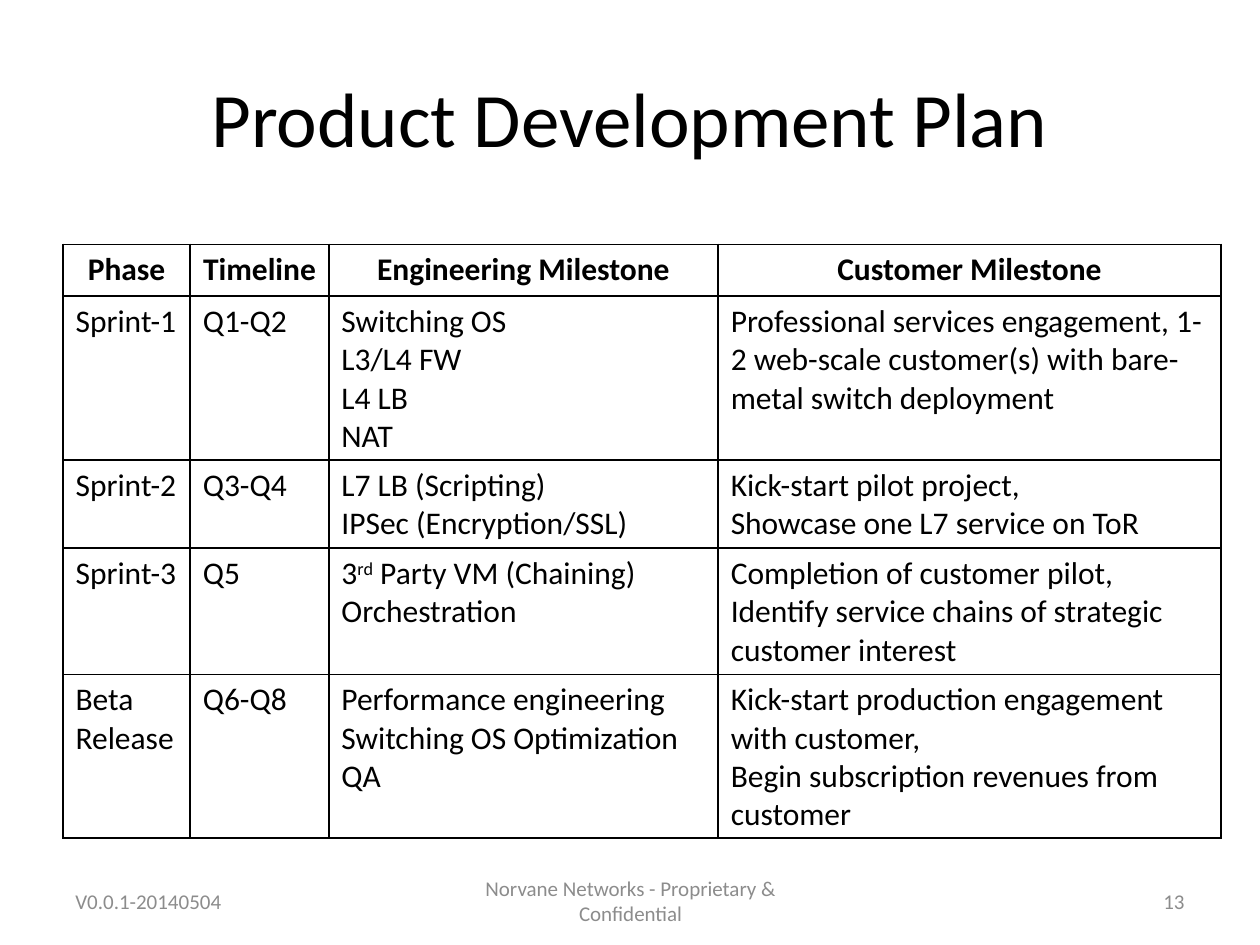
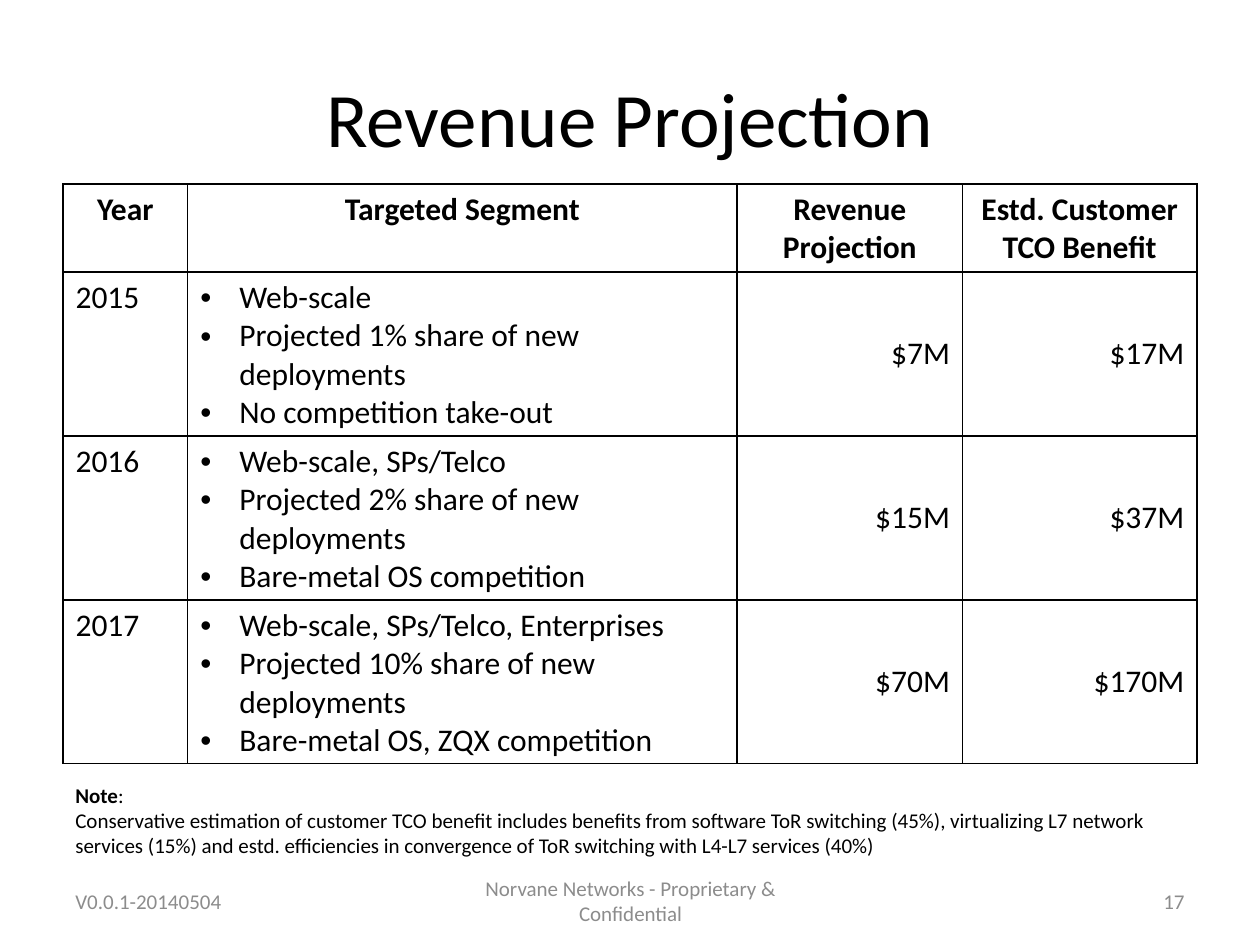
from lxml.etree import SubElement
from pptx import Presentation
from pptx.dml.color import RGBColor
from pptx.enum.text import MSO_ANCHOR, PP_ALIGN
from pptx.oxml.ns import qn
from pptx.util import Inches, Pt

COLORS = {"text": "000000", "footer": "8C8C8C", "border": "000000", "cell": "FFFFFF"}
FONT = "Calibri"
ROW_HEIGHT = 0.41
BULLET_INDENT = Inches(0.31)
FOOTER_TOP, FOOTER_HEIGHT = 6.95, 0.4
VERSION = "V0.0.1-20140504"
CONFIDENTIALITY = "Norvane Networks - Proprietary & Confidential"

PLAN_COLUMNS = [1.01, 1.1, 3.09, 3.99]
PLAN_ROWS = [
    ["Phase", "Timeline", "Engineering Milestone", "Customer Milestone"],
    ["Sprint-1", "Q1-Q2", ["Switching OS", "L3/L4 FW", "L4 LB", "NAT"],
     "Professional services engagement, 1-2 web-scale customer(s) with bare-metal switch deployment"],
    ["Sprint-2", "Q3-Q4", ["L7 LB (Scripting)", "IPSec (Encryption/SSL)"],
     ["Kick-start pilot project,", "Showcase one L7 service on ToR"]],
    ["Sprint-3", "Q5",
     [[("3", {}), ("rd", {"superscript": True}), (" Party VM (Chaining)", {})], "Orchestration"],
     ["Completion of customer pilot,", "Identify service chains of strategic customer interest"]],
    [["Beta", "Release"], "Q6-Q8",
     ["Performance engineering", "Switching OS Optimization", "QA"],
     ["Kick-start production engagement with customer,",
      "Begin subscription revenues from customer"]],
]

REVENUE_COLUMNS = [0.99, 4.36, 1.79, 1.86]
REVENUE_ROWS = [
    ["Year", "Targeted Segment", "Revenue Projection", "Estd. Customer TCO Benefit"],
    ["2015", ["Web-scale", "Projected 1% share of new deployments",
              "No competition take-out"], "$7M", "$17M"],
    ["2016", ["Web-scale, SPs/Telco", "Projected 2% share of new deployments",
              "Bare-metal OS competition"], "$15M", "$37M"],
    ["2017", ["Web-scale, SPs/Telco, Enterprises", "Projected 10% share of new deployments",
              "Bare-metal OS, ZQX competition"], "$70M", "$170M"],
]
REVENUE_FORMATS = {
    1: {"bullet": True},
    2: {"align": PP_ALIGN.RIGHT, "anchor": MSO_ANCHOR.MIDDLE},
    3: {"align": PP_ALIGN.RIGHT, "anchor": MSO_ANCHOR.MIDDLE},
}
NOTE = [
    [("Note", {"bold": True}), (":", {})],
    "Conservative estimation of customer TCO benefit includes benefits from software ToR "
    "switching (45%), virtualizing L7 network services (15%) and estd. efficiencies in "
    "convergence of ToR switching with L4-L7 services (40%)",
]


def add_bullet(paragraph):
    properties = paragraph._p.get_or_add_pPr()
    properties.set("marL", str(BULLET_INDENT))
    properties.set("indent", str(-BULLET_INDENT))
    SubElement(properties, qn("a:buFont")).set("typeface", "Arial")
    SubElement(properties, qn("a:buChar")).set("char", "•")


def write_text(text_frame, text, size=18, color="text", bold=False,
               align=PP_ALIGN.LEFT, bullet=False):
    paragraphs = [text] if isinstance(text, str) else text
    for index, content in enumerate(paragraphs):
        paragraph = text_frame.add_paragraph() if index else text_frame.paragraphs[0]
        paragraph.alignment = align
        if bullet:
            add_bullet(paragraph)
        pieces = [(content, {})] if isinstance(content, str) else content
        for words, changes in pieces:
            run = paragraph.add_run()
            run.text = words
            run.font.name = FONT
            run.font.size = Pt(size)
            run.font.bold = changes.get("bold", bold)
            run.font.color.rgb = RGBColor.from_string(COLORS[color])
            if changes.get("superscript"):
                run._r.get_or_add_rPr().set("baseline", "30000")


def add_borders(cell):
    properties = cell._tc.get_or_add_tcPr()
    for side in ("a:lnL", "a:lnR", "a:lnT", "a:lnB"):
        line = SubElement(properties, qn(side))
        line.set("w", str(Pt(1)))
        fill = SubElement(line, qn("a:solidFill"))
        SubElement(fill, qn("a:srgbClr")).set("val", COLORS["border"])


class Deck:
    def __init__(self):
        self.presentation = Presentation()
        self.presentation.slide_width = Inches(10)
        self.presentation.slide_height = Inches(7.5)
        self.slide = None

    def add_slide(self, title, number):
        layout = self.presentation.slide_layouts.get_by_name("Title Only")
        self.slide = self.presentation.slides.add_slide(layout)
        self.add_title(title)
        self.add_footer(number)

    def add_title(self, text):
        title = self.slide.shapes.title
        title.left, title.top = Inches(0.5), Inches(0.3)
        title.width, title.height = Inches(9), Inches(1.25)
        title.text_frame.vertical_anchor = MSO_ANCHOR.MIDDLE
        write_text(title.text_frame, text, size=44, align=PP_ALIGN.CENTER)

    def add_text(self, text, left, top, width, height, anchor=MSO_ANCHOR.TOP, **text_format):
        box = self.slide.shapes.add_textbox(
            Inches(left), Inches(top), Inches(width), Inches(height))
        box.text_frame.word_wrap = True
        box.text_frame.vertical_anchor = anchor
        write_text(box.text_frame, text, **text_format)

    def add_footer(self, number):
        for text, left, width, align in (
            (VERSION, 0.5, 2.33, PP_ALIGN.LEFT),
            (CONFIDENTIALITY, 3.42, 3.17, PP_ALIGN.CENTER),
            (str(number), 7.17, 2.33, PP_ALIGN.RIGHT),
        ):
            self.add_text(text, left, FOOTER_TOP, width, FOOTER_HEIGHT, size=12,
                          anchor=MSO_ANCHOR.MIDDLE, color="footer", align=align)

    def add_table(self, rows, columns, top, column_formats=None):
        frame = self.slide.shapes.add_table(
            len(rows), len(columns), Inches(0.5), Inches(top),
            Inches(sum(columns)), Inches(ROW_HEIGHT * len(rows)))
        table = frame.table
        table.first_row = table.horz_banding = False
        for column, width in zip(table.columns, columns):
            column.width = Inches(width)
        for row_index, row in enumerate(rows):
            table.rows[row_index].height = Inches(ROW_HEIGHT)
            for column_index, text in enumerate(row):
                if row_index == 0:
                    text_format = {"bold": True, "align": PP_ALIGN.CENTER}
                else:
                    text_format = dict((column_formats or {}).get(column_index, {}))
                self.fill_cell(table.cell(row_index, column_index), text, **text_format)

    def fill_cell(self, cell, text, anchor=MSO_ANCHOR.TOP, **text_format):
        add_borders(cell)
        cell.fill.solid()
        cell.fill.fore_color.rgb = RGBColor.from_string(COLORS["cell"])
        cell.vertical_anchor = anchor
        write_text(cell.text_frame, text, **text_format)


def main():
    deck = Deck()
    deck.add_slide("Product Development Plan", 13)
    deck.add_table(PLAN_ROWS, PLAN_COLUMNS, 1.94)
    deck.add_slide("Revenue Projection", 17)
    deck.add_table(REVENUE_ROWS, REVENUE_COLUMNS, 1.46, REVENUE_FORMATS)
    deck.add_text(NOTE, 0.5, 6.16, 9, 0.81, size=12)
    deck.presentation.save("out.pptx")


if __name__ == "__main__":
    main()
